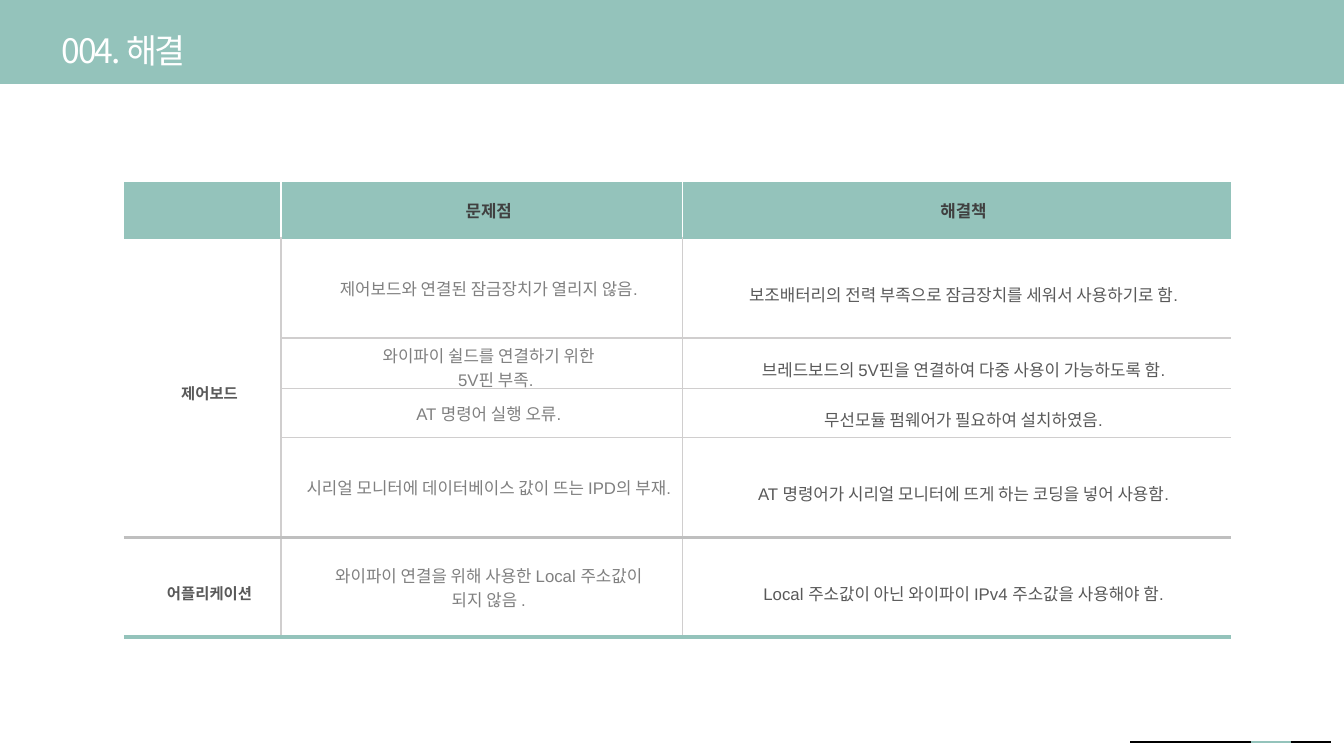
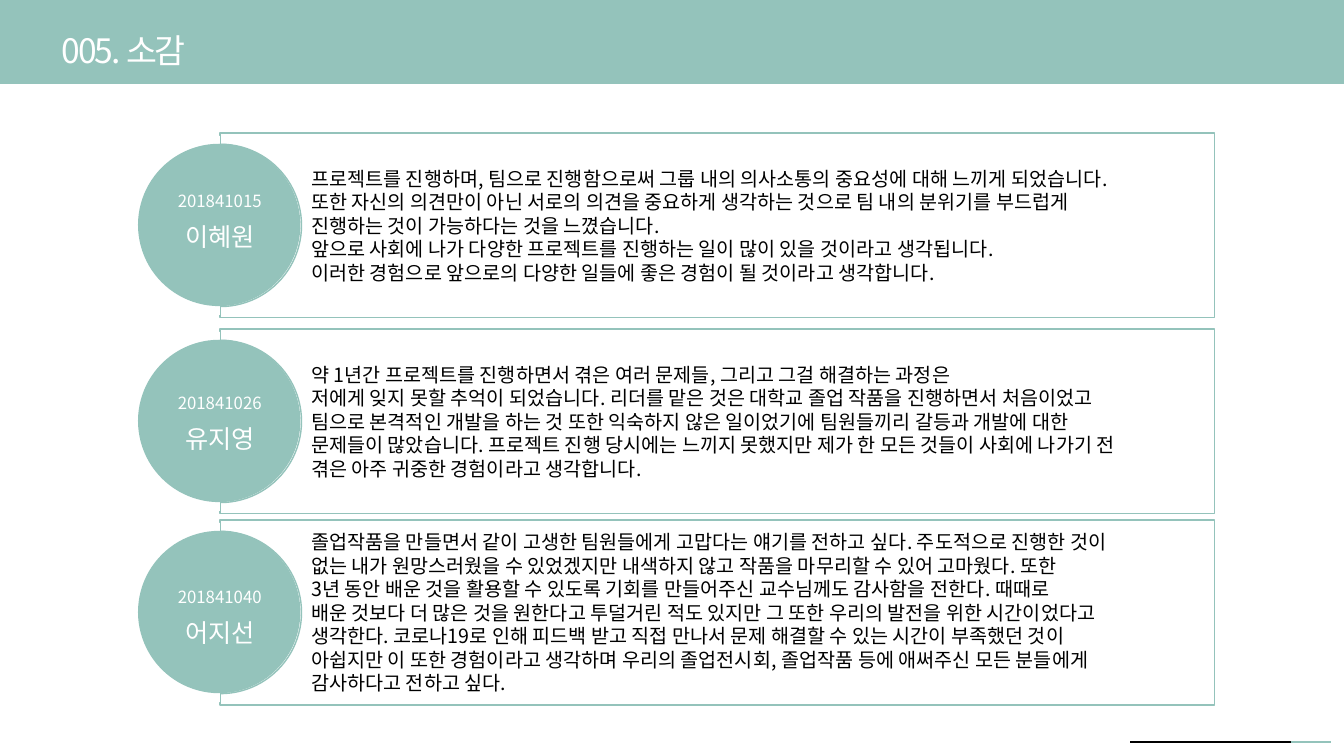
import pptx
import pptx.util
import pptx.dml.color
import pptx.enum.shapes
import pptx.enum.text
import pptx.oxml
import pptx.oxml.ns

Pt = pptx.util.Pt
qn = pptx.oxml.ns.qn
SHAPE = pptx.enum.shapes.MSO_SHAPE
ALIGN = pptx.enum.text.PP_ALIGN
ANCHOR = pptx.enum.text.MSO_ANCHOR

KOREAN = "Noto Sans CJK KR"
MINT, WHITE, BLACK = "94C3BB", "FFFFFF", "000000"
DARK, BODY, GREY = "404040", "595959", "808080"
PALE, MID = "D0CECE", "BFBFBF"


def rgb(value):
    return pptx.dml.color.RGBColor.from_string(value)


def write(tf, lines, fmt, color, align=ALIGN.LEFT, spacing=None):
    """Fill a text frame, one paragraph per line."""
    tf.word_wrap = True
    for i, line in enumerate(lines):
        p = tf.paragraphs[0] if i == 0 else tf.add_paragraph()
        p.alignment = align
        p.line_spacing = spacing
        r = p.add_run()
        r.text = line
        for key, value in fmt.items():
            setattr(r.font, key, value)
        r.font.color.rgb = rgb(color)
        ea = r.font._element.makeelement(qn("a:ea"), {"typeface": KOREAN})
        r.font._element.append(ea)


prs = pptx.Presentation()
prs.slide_width, prs.slide_height = Pt(960), Pt(540)

# Shared frame: mint band, title, footer line with one accent segment
slides = []
for title, accent in [("004. 해결", 3), ("005. 소감", 4)]:
    s = prs.slides.add_slide(prs.slide_layouts[6])
    slides.append(s)
    s.background.fill.solid()
    s.background.fill.fore_color.rgb = rgb(MINT)
    sp = s.shapes.add_shape(SHAPE.RECTANGLE, 0, Pt(60), Pt(960), Pt(480))
    sp.shadow.inherit = False
    sp.fill.solid()
    sp.fill.fore_color.rgb = rgb(WHITE)
    sp.line.fill.background()

    tb = s.shapes.add_textbox(Pt(37), Pt(18), Pt(400), Pt(36))
    write(tb.text_frame, [title], {"size": Pt(24), "name": KOREAN}, WHITE)
    tb.text_frame.paragraphs[0].runs[0].font._element.set("spc", "-150")

    for i in range(5):
        x = 807.5 + 28.6 * i
        ln = s.shapes.add_connector(pptx.enum.shapes.MSO_CONNECTOR.STRAIGHT,
                                    Pt(x), Pt(530), Pt(x + 28.6), Pt(530))
        ln.line.width = Pt(1.5)
        ln.line.color.rgb = rgb(MINT if i == accent else BLACK)
        ln._element.spPr.append(pptx.oxml.parse_xml(
            '<a:effectLst xmlns:a="http://schemas.openxmlformats.org/drawingml/2006/main"/>'))

# Slide 1: problems and solutions
rows = [
    ("", ["문제점"], "해결책"),
    ("제어보드", ["제어보드와 연결된 잠금장치가 열리지 않음."],
     "보조배터리의 전력 부족으로 잠금장치를 세워서 사용하기로 함."),
    ("", ["와이파이 쉴드를 연결하기 위한", "5V핀 부족."],
     "브레드보드의 5V핀을 연결하여 다중 사용이 가능하도록 함."),
    ("", ["AT 명령어 실행 오류."], "무선모듈 펌웨어가 필요하여 설치하였음."),
    ("", ["시리얼 모니터에 데이터베이스 값이 뜨는 IPD의 부재."],
     "AT 명령어가 시리얼 모니터에 뜨게 하는 코딩을 넣어 사용함."),
    ("어플리케이션", ["와이파이 연결을 위해 사용한 Local 주소값이", "되지 않음 ."],
     "Local 주소값이 아닌 와이파이 IPv4 주소값을 사용해야 함."),
]
widths = [112.3, 286.6, 391.7]
heights = [39.6, 71.3, 35.3, 35.3, 71.3, 71.3]
rules = [None, (MINT, 2.25), (PALE, 1.5), (PALE, 0.75), (PALE, 1.5), (MID, 2.25), (MINT, 3)]
margins = {"margin_left": Pt(17.3), "margin_right": Pt(7.2), "margin_top": Pt(3.6),
           "margin_bottom": Pt(3.6), "vertical_anchor": ANCHOR.MIDDLE}
head = ({"size": Pt(12), "bold": True, "name": KOREAN}, DARK, ALIGN.CENTER)
columns = [
    ({"size": Pt(11), "bold": True, "name": "Arial"}, BODY, ALIGN.CENTER, 1.5),
    ({"size": Pt(12), "bold": False, "name": "Arial"}, GREY, ALIGN.CENTER),
    ({"size": Pt(12), "bold": False, "name": "Arial"}, BODY, ALIGN.CENTER, 1.5),
]

table = slides[0].shapes.add_table(len(rows), len(widths), Pt(88.5), Pt(130.3),
                                   Pt(sum(widths)), Pt(sum(heights))).table
table.first_row = table.horz_banding = False
for column, width in zip(table.columns, widths):
    column.width = Pt(width)
for row, height in zip(table.rows, heights):
    row.height = Pt(height)
table.cell(1, 0).merge(table.cell(4, 0))

for y, row in enumerate(rows):
    for x, content in enumerate(row):
        cell = table.cell(y, x)
        for key, value in margins.items():
            setattr(cell, key, value)
        if content:
            lines = content if isinstance(content, list) else [content]
            write(cell.text_frame, lines, *(head if y == 0 else columns[x]))

        # Borders: white dividers in the header, pale ones below
        divider = (WHITE if y == 0 else PALE, 1)
        top, bottom = rules[y], rules[y + 1]
        if cell.is_merge_origin:
            bottom = rules[5]
        elif cell.is_spanned:
            top, bottom = None, rules[5] if y == 4 else None
        sides = {"L": divider if x > 0 else None, "R": divider if x < 2 else None,
                 "T": top, "B": bottom}
        tcPr = cell._tc.get_or_add_tcPr()
        for side, rule in sides.items():
            ln = tcPr.makeelement(qn("a:ln" + side), {})
            tcPr.append(ln)
            if rule:
                ln.set("w", str(int(Pt(rule[1]))))
                fill = ln.makeelement(qn("a:solidFill"), {})
                fill.append(fill.makeelement(qn("a:srgbClr"), {"val": rule[0]}))
            else:
                fill = ln.makeelement(qn("a:noFill"), {})
            ln.append(fill)
        cell.fill.solid()
        cell.fill.fore_color.rgb = rgb(MINT if y == 0 else WHITE)

# The second line of the pin problem sits slightly to the right
p = table.cell(2, 1).text_frame.paragraphs[1]
p._p.get_or_add_pPr().set("marL", str(int(Pt(10))))

# Slide 2: one card per member (card top, label top, number, name, text)
cards = [
    (95, 132.5, "201841015", "이혜원", [
        "프로젝트를 진행하며, 팀으로 진행함으로써 그룹 내의 의사소통의 중요성에 대해 느끼게 되었습니다.",
        "또한 자신의 의견만이 아닌 서로의 의견을 중요하게 생각하는 것으로 팀 내의 분위기를 부드럽게",
        "진행하는 것이 가능하다는 것을 느꼈습니다.",
        "앞으로 사회에 나가 다양한 프로젝트를 진행하는 일이 많이 있을 것이라고 생각됩니다.",
        "이러한 경험으로 앞으로의 다양한 일들에 좋은 경험이 될 것이라고 생각합니다."]),
    (235, 277, "201841026", "유지영", [
        "약 1년간 프로젝트를 진행하면서 겪은 여러 문제들, 그리고 그걸 해결하는 과정은",
        "저에게 잊지 못할 추억이 되었습니다. 리더를 맡은 것은 대학교 졸업 작품을 진행하면서 처음이었고",
        "팀으로 본격적인 개발을 하는 것 또한 익숙하지 않은 일이었기에 팀원들끼리 갈등과 개발에 대한",
        "문제들이 많았습니다. 프로젝트 진행 당시에는 느끼지 못했지만 제가 한 모든 것들이 사회에 나가기 전",
        "겪은 아주 귀중한 경험이라고 생각합니다."]),
    (371.5, 415.5, "201841040", "어지선", [
        "졸업작품을 만들면서 같이 고생한 팀원들에게 고맙다는 얘기를 전하고 싶다. 주도적으로 진행한 것이",
        "없는 내가 원망스러웠을 수 있었겠지만 내색하지 않고 작품을 마무리할 수 있어 고마웠다. 또한",
        "3년 동안 배운 것을 활용할 수 있도록 기회를 만들어주신 교수님께도 감사함을 전한다. 때때로",
        "배운 것보다 더 많은 것을 원한다고 투덜거린 적도 있지만 그 또한 우리의 발전을 위한 시간이었다고",
        "생각한다. 코로나19로 인해 피드백 받고 직접 만나서 문제 해결할 수 있는 시간이 부족했던 것이",
        "아쉽지만 이 또한 경험이라고 생각하며 우리의 졸업전시회, 졸업작품 등에 애써주신 모든 분들에게",
        "감사하다고 전하고 싶다."]),
]
s = slides[1]
for top, label_top, number, name, lines in cards:
    # Frame, ring, cover for the ring's left half, disc
    for kind, x, y, w, h, fill, line in [
        (SHAPE.RECTANGLE, 157, top, 710.5, 132, WHITE, MINT),
        (SHAPE.OVAL, 99.4, top + 8, 116, 116, WHITE, MINT),
        (SHAPE.RECTANGLE, 97, top + 2, 60, 128, WHITE, None),
        (SHAPE.OVAL, 98.6, top + 7.7, 116, 116, MINT, None),
    ]:
        sp = s.shapes.add_shape(kind, Pt(x), Pt(y), Pt(w), Pt(h))
        sp.shadow.inherit = False
        sp.fill.solid()
        sp.fill.fore_color.rgb = rgb(fill)
        if line:
            sp.line.color.rgb = rgb(line)
            sp.line.width = Pt(1)
        else:
            sp.line.fill.background()

    # Labels on the disc
    for text, y, h, size in [(number, label_top, 22, 12), (name, label_top + 22, 29, 18)]:
        tb = s.shapes.add_textbox(Pt(99), Pt(y), Pt(116), Pt(h))
        write(tb.text_frame, [text], {"size": Pt(size), "name": KOREAN}, WHITE, ALIGN.CENTER)

    # Statement, centred on the height of the card
    tb = s.shapes.add_textbox(Pt(215.3), Pt(top), Pt(648), Pt(132))
    tb.text_frame.vertical_anchor = ANCHOR.MIDDLE
    write(tb.text_frame, lines, {"size": Pt(14), "name": KOREAN}, BLACK)

prs.save("out.pptx")
